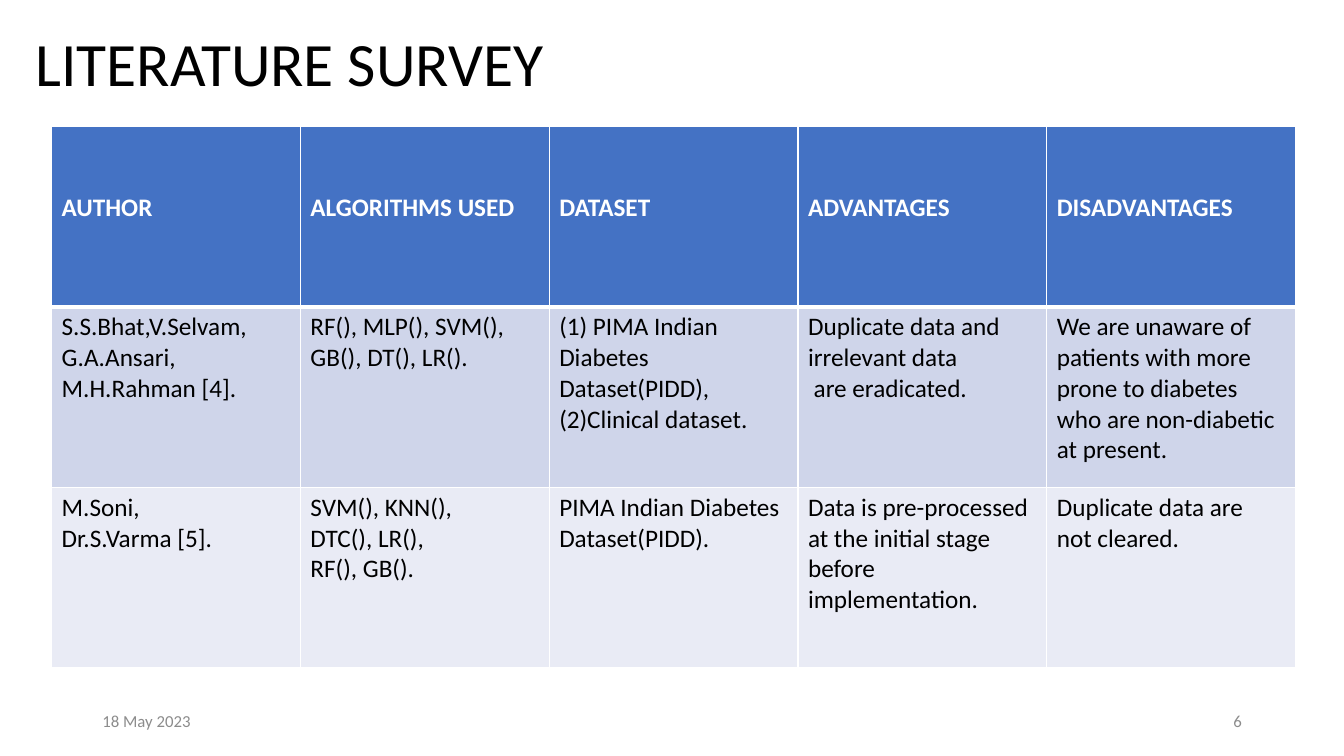
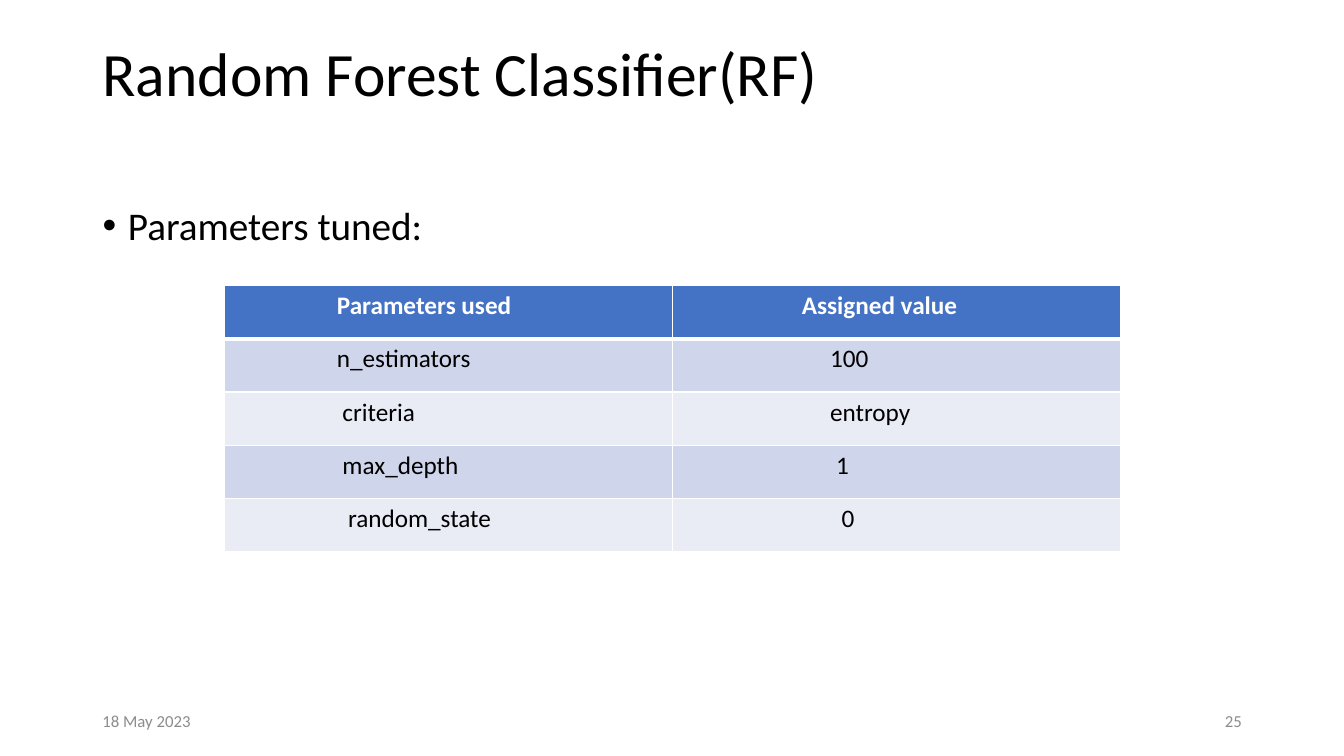
from lxml.etree import SubElement
from pptx import Presentation
from pptx.dml.color import RGBColor
from pptx.enum.text import MSO_ANCHOR as Anchor, MSO_AUTO_SIZE as AutoSize, PP_ALIGN as Align
from pptx.oxml.ns import qn
from pptx.util import Cm, Pt

COLORS = {
    "text": "000000",
    "white": "FFFFFF",
    "header": "4472C4",
    "band_dark": "CFD5EA",
    "band_light": "E9EBF5",
    "footer": "8C8C8C",
}
FONT = "Calibri"
DATE = "18 May 2023"

SURVEY = [
    ["AUTHOR", "ALGORITHMS USED", "DATASET", "ADVANTAGES", "DISADVANTAGES"],
    [
        "S.S.Bhat,V.Selvam,\nG.A.Ansari,\nM.H.Rahman [4].",
        "RF(), MLP(), SVM(), GB(), DT(), LR().",
        "(1) PIMA Indian Diabetes\nDataset(PIDD),\n(2)Clinical dataset.",
        "Duplicate data and irrelevant data\n are eradicated.",
        "We are unaware of patients with more prone to diabetes "
        "who are non-diabetic at present.",
    ],
    [
        "M.Soni,\nDr.S.Varma [5].",
        "SVM(), KNN(),\nDTC(), LR(),\nRF(), GB().",
        "PIMA Indian Diabetes\nDataset(PIDD).",
        "Data is pre-processed at the initial stage before implementation.",
        "Duplicate data are\nnot cleared.",
    ],
]
PARAMETERS = [
    ["Parameters used", "Assigned value"],
    ["n_estimators", "100"],
    ["criteria", "entropy"],
    ["max_depth", "1"],
    ["random_state", "0"],
]
PARAMETER_INDENTS = [
    [2.84, 3.27],
    [2.84, 3.98],
    [2.98, 3.98],
    [2.98, 4.13],
    [3.12, 4.27],
]


def rgb(name):
    return RGBColor.from_string(COLORS[name])


def write(tf, text, size=18, color="text", bold=False, align=Align.LEFT,
          spacing=None, before=0):
    for i, line in enumerate(text.split("\n")):
        p = tf.add_paragraph() if i else tf.paragraphs[0]
        p.alignment = align
        p.space_before = Pt(before)
        if spacing:
            p.line_spacing = spacing
        r = p.add_run()
        r.text = line
        r.font.name = FONT
        r.font.size = Pt(size)
        r.font.bold = bold
        r.font.color.rgb = rgb(color)


def place(sp, left, top, width, height, anchor):
    sp.left, sp.top, sp.width, sp.height = map(Cm, (left, top, width, height))
    tf = sp.text_frame
    tf.word_wrap = True
    tf.auto_size = AutoSize.NONE
    tf.vertical_anchor = anchor
    return tf


def add_title(s, text, left, top, width, height):
    tf = place(s.shapes.title, left, top, width, height, Anchor.MIDDLE)
    write(tf, text, size=44, spacing=0.9)


def add_bullets(s, text, left, top, width, height):
    tf = place(s.placeholders[1], left, top, width, height, Anchor.TOP)
    write(tf, text, size=28, spacing=0.9, before=10)
    for p in tf.paragraphs:
        pPr = p._p.get_or_add_pPr()
        pPr.set("marL", str(Cm(0.64)))
        pPr.set("indent", str(Cm(-0.64)))


def add_footer(s, number):
    for text, left, align in ((DATE, 2.33, Align.LEFT), (number, 23.93, Align.RIGHT)):
        sp = s.shapes.add_textbox(0, 0, 0, 0)
        tf = place(sp, left, 17.65, 7.62, 1.02, Anchor.MIDDLE)
        write(tf, text, size=12, color="footer", align=align)


def set_borders(cell, top=1, bottom=1):
    tcPr = cell._tc.get_or_add_tcPr()
    for side, width in (("L", 1), ("R", 1), ("T", top), ("B", bottom)):
        ln = SubElement(tcPr, qn(f"a:ln{side}"), w=str(Pt(width)))
        fill = SubElement(ln, qn("a:solidFill"))
        SubElement(fill, qn("a:srgbClr"), val=COLORS["white"])


def add_table(s, rows, left, top, col_width, row_height, header_top=0.13, indents=None):
    n_rows, n_cols = len(rows), len(rows[0])
    table = s.shapes.add_table(n_rows, n_cols, Cm(left), Cm(top),
                               Cm(col_width * n_cols), Cm(row_height * n_rows)).table
    for i, row in enumerate(rows):
        header = i == 0
        band = "header" if header else "band_dark" if i % 2 else "band_light"
        for j, text in enumerate(row):
            cell = table.cell(i, j)
            set_borders(cell, top=3 if i == 1 else 1, bottom=3 if header else 1)
            cell.fill.solid()
            cell.fill.fore_color.rgb = rgb(band)
            if header:
                cell.margin_top = Cm(header_top)
            if indents:
                cell.margin_left = Cm(indents[i][j])
            write(cell.text_frame, text, color="white" if header else "text", bold=header)


def add_slide(prs, layout, number):
    s = prs.slides.add_slide(prs.slide_layouts.get_by_name(layout))
    add_footer(s, number)
    return s


def main():
    prs = Presentation()
    prs.slide_width, prs.slide_height = Cm(33.87), Cm(19.05)

    s = add_slide(prs, "Title Only", "6")
    add_title(s, "LITERATURE SURVEY", 0.64, 0.64, 30.9, 2.08)
    add_table(s, SURVEY, 1.3, 3.18, 6.27, 4.55, header_top=1.68)

    s = add_slide(prs, "Title and Content", "25")
    add_title(s, "Random Forest Classifier(RF)", 2.33, 0.88, 29.21, 2.08)
    add_bullets(s, "Parameters tuned:", 2.33, 5.08, 29.21, 12.09)
    add_table(s, PARAMETERS, 5.65, 7.2, 11.29, 1.34, indents=PARAMETER_INDENTS)

    prs.save("out.pptx")


if __name__ == "__main__":
    main()
